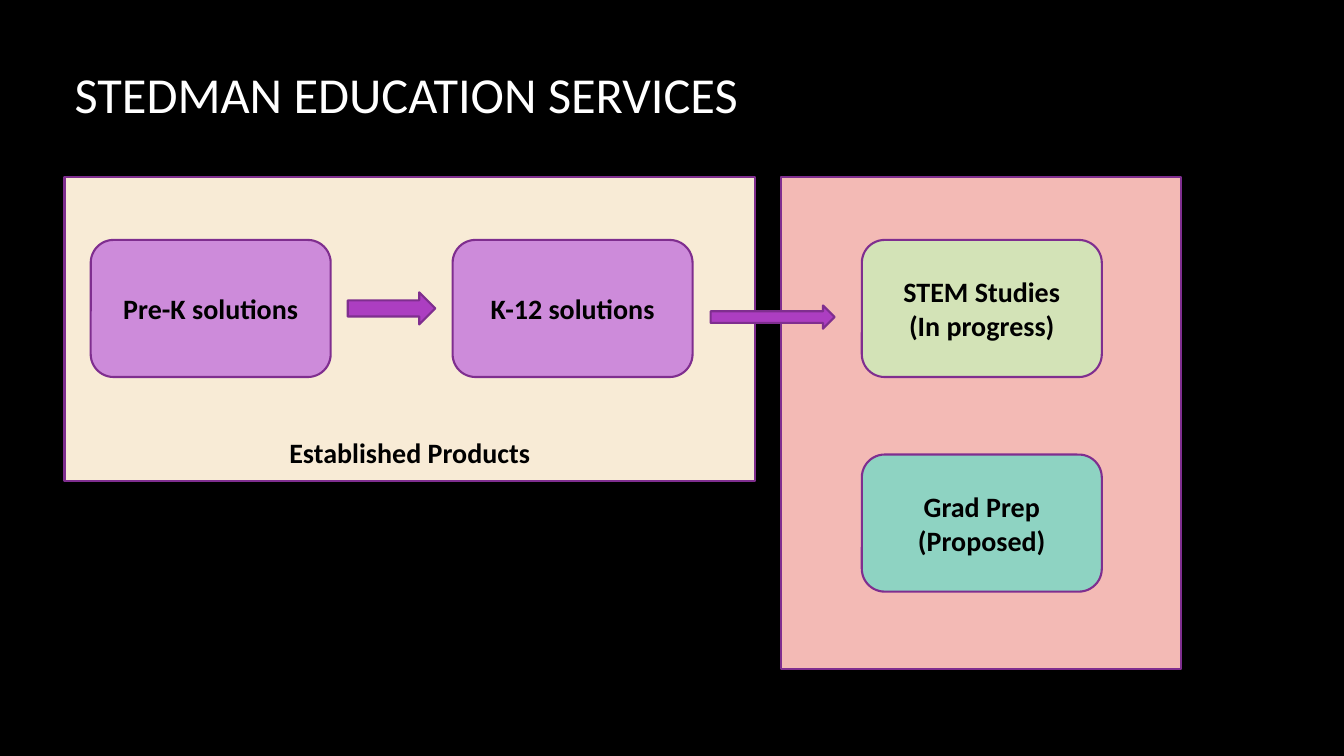
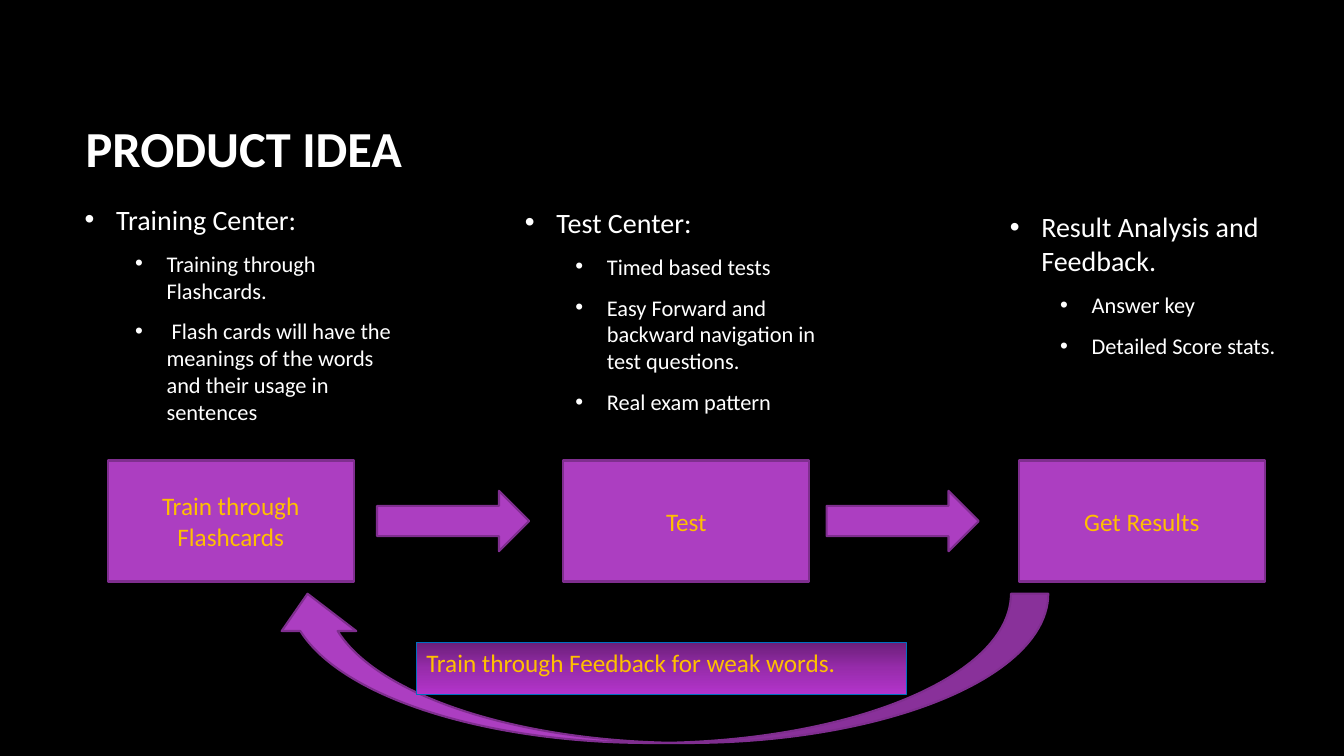
from lxml import etree
from pptx import Presentation
from pptx.dml.color import RGBColor
from pptx.enum.shapes import MSO_SHAPE
from pptx.enum.text import MSO_ANCHOR, MSO_AUTO_SIZE, PP_ALIGN
from pptx.oxml.ns import qn
from pptx.util import Pt

RECT, ROUND = MSO_SHAPE.RECTANGLE, MSO_SHAPE.ROUNDED_RECTANGLE
ARROW, CURVE = MSO_SHAPE.RIGHT_ARROW, MSO_SHAPE.CURVED_UP_ARROW
TOP, MIDDLE, BOTTOM = MSO_ANCHOR.TOP, MSO_ANCHOR.MIDDLE, MSO_ANCHOR.BOTTOM
LEFT, CENTER = PP_ALIGN.LEFT, PP_ALIGN.CENTER
TITLE_AND_CONTENT, TITLE_ONLY = 1, 5

FONT = "Calibri"
COLORS = {
    "background": "000000", "white": "FFFFFF", "black": "000000",
    "purple": "AC3EC1", "outline": "7F2E8F", "lilac": "CD8BDA",
    "cream": "F8EBD6", "pink": "F3BAB5", "green": "D3E3B7",
    "teal": "8ED3C2", "gold": "FFC000", "blue": "0070C0",
}
BAND_STOPS = [(0, "6A1F78"), (50, "972CAB"), (100, "B334CB")]


def rgb(name):
    """Return a palette colour."""
    return RGBColor.from_string(COLORS[name])


def place(shape, box):
    """Move and size a shape; box is left, top, width, height in points."""
    shape.left, shape.top, shape.width, shape.height = map(Pt, box)


def write(p, text, size=20, color="white", bold=False, align=LEFT):
    """Put formatted text into a paragraph."""
    p.alignment = align
    r = p.add_run()
    r.text = text
    r.font.name, r.font.size, r.font.bold = FONT, Pt(size), bold
    r.font.color.rgb = rgb(color)


def write_lines(tf, text, anchor=MIDDLE, **style):
    """Write each line of text as a paragraph of the frame."""
    tf.word_wrap = True
    tf.vertical_anchor = anchor
    for i, line in enumerate(text.split("\n")):
        write(tf.add_paragraph() if i else tf.paragraphs[0], line, **style)


def add_shape(s, kind, box, fill="purple", line="outline", weight=1.5):
    """Add a filled and outlined preset shape."""
    sp = s.shapes.add_shape(kind, *map(Pt, box))
    sp.shadow.inherit = False
    sp.fill.solid()
    sp.fill.fore_color.rgb = rgb(fill)
    sp.line.color.rgb = rgb(line)
    sp.line.width = Pt(weight)
    return sp


def add_box(s, kind, box, text, fill="purple", **style):
    """Add a shape with centred text."""
    sp = add_shape(s, kind, box, fill)
    write_lines(sp.text_frame, text, align=CENTER, **style)
    return sp


def set_gradient(sp, stops):
    """Fill a shape with a gradient that runs from top to bottom."""
    sp.fill.gradient()
    sp.fill.gradient_angle = 270
    gs_list = sp.element.spPr.find(".//" + qn("a:gsLst"))
    for gs in list(gs_list):
        gs_list.remove(gs)
    for percent, color in stops:
        gs = etree.SubElement(gs_list, qn("a:gs"), pos=str(percent * 1000))
        etree.SubElement(gs, qn("a:srgbClr"), val=color)


def set_title(s, text, left, top, bold=False):
    """Fill and place the title placeholder."""
    title = s.shapes.title
    place(title, (left, top, 797.8, 114.5))
    title.text_frame.auto_size = MSO_AUTO_SIZE.NONE
    write_lines(title.text_frame, text, size=36, bold=bold)


def set_bullet(p, level):
    """Give a paragraph its indent, spacing and white round bullet."""
    p.level = level
    p.space_before, p.space_after = Pt(0), Pt(10)
    pPr = p._p.get_or_add_pPr()
    pPr.set("marL", str(Pt(22.5 + 36 * level)))
    pPr.set("indent", str(Pt(-22.5)))
    color = etree.SubElement(pPr, qn("a:buClr"))
    etree.SubElement(color, qn("a:srgbClr"), val=COLORS["white"])
    etree.SubElement(pPr, qn("a:buFont"), typeface="Arial")
    etree.SubElement(pPr, qn("a:buChar"), char="\u2022")


def fill_list(sp, heading, items, inset):
    """Write a heading bullet with its sub-bullets."""
    tf = sp.text_frame
    tf.auto_size = MSO_AUTO_SIZE.NONE
    tf.margin_top = Pt(inset)
    write_lines(tf, "\n".join([heading] + items), anchor=TOP)
    for i, p in enumerate(tf.paragraphs):
        set_bullet(p, 1 if i else 0)
        p.runs[0].font.size = Pt(16 if i else 20)


def build_services(prs):
    """Build the overview of established and planned products."""
    s = prs.slides.add_slide(prs.slide_layouts[TITLE_ONLY])
    set_title(s, "STEDMAN EDUCATION SERVICES", 46.1, 9.4)
    add_shape(s, RECT, (558, 126.7, 285.8, 351.4), "pink")
    established = add_shape(s, RECT, (46.1, 126.7, 493.2, 216.7), "cream")
    established.text_frame.margin_bottom = Pt(8.4)
    write_lines(established.text_frame, "Established Products", anchor=BOTTOM,
                color="black", bold=True, align=CENTER)
    products = [
        (64.8, 171.4, "Pre-K solutions", "lilac"),
        (323.3, 171.4, "K-12 solutions", "lilac"),
        (615.6, 171.4, "STEM Studies\n(In progress)", "green"),
        (615.6, 324.7, "Grad Prep\n(Proposed)", "teal"),
    ]
    for left, top, text, fill in products:
        add_box(s, ROUND, (left, top, 171.4, 97.9), text, fill,
                color="black", bold=True)
    for box in [(248.4, 208.8, 62.6, 23), (507.6, 218.2, 88.6, 16.6)]:
        add_shape(s, ARROW, box)


def build_product_idea(prs):
    """Build the three lists and the training cycle below them."""
    s = prs.slides.add_slide(prs.slide_layouts[TITLE_AND_CONTENT])
    set_title(s, "PRODUCT IDEA", 54, 48.2, bold=True)

    training = s.placeholders[1]
    place(training, (53.3, 135.4, 244.1, 206.6))
    fill_list(training, "Training Center:", [
        "Training through Flashcards.",
        " Flash cards will have the meanings of the words and their usage "
        "in sentences"], inset=9)
    test = s.shapes.add_textbox(*map(Pt, (367.9, 121, 244.1, 229.7)))
    fill_list(test, "Test Center:", [
        "Timed based tests",
        "Easy Forward and backward navigation in test questions.",
        "Real exam pattern"], inset=25.5)
    result = s.shapes.add_textbox(*map(Pt, (714.2, 141.8, 244.1, 185.8)))
    fill_list(result, "Result Analysis and Feedback.", [
        "Answer key", "Detailed Score stats."], inset=8.2)

    steps = ["Train through Flashcards", "Test", "Get Results"]
    for i, text in enumerate(steps):
        add_box(s, RECT, (77 + 325.4 * i, 329, 175.7, 86.4), text,
                size=18, color="gold")
    for i in range(len(steps) - 1):
        add_shape(s, ARROW, (269.3 + 321.1 * i, 350.6, 108.7, 43.2))

    feedback = add_shape(s, CURVE, (193, 424.1, 555.8, 106.6))
    feedback.element.spPr.find(qn("a:xfrm")).set("flipH", "1")
    band = add_shape(s, RECT, (297.4, 458.6, 349.9, 37.4),
                     line="blue", weight=0.75)
    set_gradient(band, BAND_STOPS)
    write_lines(band.text_frame, "Train through Feedback for weak words.",
                anchor=TOP, size=18, color="gold")


def main():
    """Build and save the presentation."""
    prs = Presentation()
    prs.slide_width, prs.slide_height = Pt(960), Pt(540)
    background = prs.slide_master.background.fill
    background.solid()
    background.fore_color.rgb = rgb("background")
    build_services(prs)
    build_product_idea(prs)
    prs.save("out.pptx")


main()
